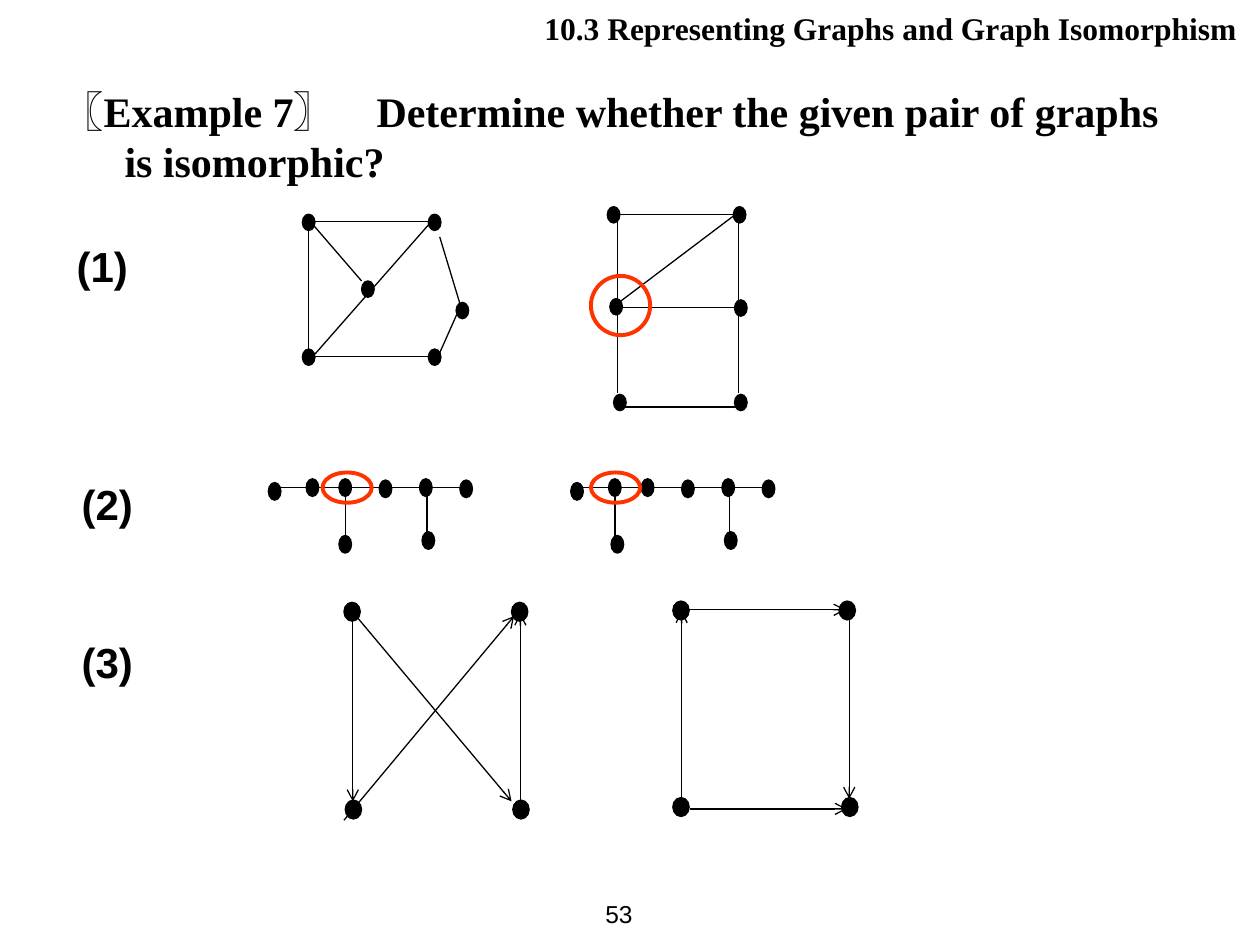
import pptx
import pptx.dml.color
import pptx.enum.shapes
import pptx.enum.text
import pptx.oxml
import pptx.oxml.ns
import pptx.util
from lxml import etree
from pptx.util import Inches

BLACK = pptx.dml.color.RGBColor(0, 0, 0)
RED = pptx.dml.color.RGBColor(0xFF, 0x33, 0x00)
SERIF, SANS = "Times New Roman", "Arial"
ALIGN = pptx.enum.text.PP_ALIGN
ANCHOR = pptx.enum.text.MSO_ANCHOR
SHAPE = pptx.enum.shapes.MSO_SHAPE


def sub(parent, tag, **attrs):
    return etree.SubElement(parent, pptx.oxml.ns.qn(tag), **attrs)


def write(tf, runs, font=SANS, size=24, bold=True, align=ALIGN.LEFT,
          anchor=ANCHOR.TOP, wrap=True, hanging=False, tab=None):
    """Fill a frame with runs of (text, overrides of font, size and bold)."""
    tf.word_wrap, tf.vertical_anchor = wrap, anchor
    tf.margin_left = tf.margin_right = Inches(0.1)
    tf.margin_top = tf.margin_bottom = Inches(0.05)
    p = tf.paragraphs[0]
    p.alignment = align
    pPr = p._p.get_or_add_pPr()
    if hanging:
        pPr.set("marL", str(Inches(0.5)))
        pPr.set("indent", str(Inches(-0.5)))
    if tab:
        sub(sub(pPr, "a:tabLst"), "a:tab", pos=str(Inches(tab)), algn="l")
    for text, own in runs:
        r = p.add_run()
        r.text = text
        r.font.name = own.get("font", font)
        r.font.size = pptx.util.Pt(own.get("size", size))
        r.font.bold = own.get("bold", bold)
        r.font.color.rgb = BLACK


def text_box(s, x, y, w, h, runs, **fmt):
    box = s.shapes.add_textbox(Inches(x), Inches(y), Inches(w), Inches(h))
    write(box.text_frame, runs, **fmt)


def oval(s, kind, x, y, w, h, color, weight, filled):
    sp = s.shapes.add_shape(kind, Inches(x), Inches(y), Inches(w), Inches(h))
    sp.shadow.inherit = False
    if filled:
        sp.fill.solid()
        sp.fill.fore_color.rgb = color
    else:
        sp.fill.background()
    sp.line.color.rgb = color
    sp.line.width = pptx.util.Pt(weight)


def ring(s, x, y, w, h):
    oval(s, SHAPE.OVAL, x, y, w, h, RED, 2.25, False)


def edge(s, x1, y1, x2, y2, arrow):
    cx = s.shapes.add_connector(pptx.enum.shapes.MSO_CONNECTOR.STRAIGHT,
                                Inches(x1), Inches(y1), Inches(x2), Inches(y2))
    cx.line.color.rgb = BLACK
    cx.line.width = pptx.util.Pt(0.75)
    if arrow:
        sub(cx.line._get_or_add_ln(), "a:tailEnd", type="arrow")
    sub(cx._element.spPr, "a:effectLst")


def graph(s, x, y, nodes, edges, node_size=(0.1, 0.13), arrow=False):
    """Draw edges, then nodes given by their top left corners, from (x, y)."""
    for x1, y1, x2, y2 in edges:
        edge(s, x + x1, y + y1, x + x2, y + y2, arrow)
    for nx, ny in nodes:
        oval(s, SHAPE.FLOWCHART_CONNECTOR, x + nx, y + ny, *node_size,
             BLACK, 0.75, True)


def header(s):
    title = s.shapes.title
    title.left, title.top = Inches(4.06), Inches(-0.06)
    title.width, title.height = Inches(5.94), Inches(0.5)
    write(title.text_frame,
          [("10.3 Representing Graphs and Graph Isomorphism", {"size": 18}),
           (" ", {"bold": False})], font=SERIF, align=ALIGN.RIGHT)


def question(s, x, y):
    text_box(s, x, y, 9.14, 0.9,
             [("〖", {}), ("Example 7", {"font": SERIF}), ("〗\t", {}),
              ("Determine whether the given pair of graphs is isomorphic?",
               {"font": SERIF})], hanging=True, tab=2)


def label(s, x, y, text):
    text_box(s, x, y, 9.14, 0.5, [(text, {})], hanging=True)


def undirected_pair(s, x, y):
    graph(s, x, y + 0.06,
          [(0, 0), (1, 0), (0, 1.07), (1, 1.07), (1.22, 0.7), (0.47, 0.53)],
          [(0.09, 0.06, 1.03, 0.06), (0.05, 0.03, 0.05, 1.1),
           (0.09, 0.09, 0.47, 0.53), (1.04, 0.04, 0.1, 1.11),
           (0.08, 1.13, 1.02, 1.13), (1.09, 0.18, 1.25, 0.71),
           (1.25, 0.74, 1.09, 1.1)])
    graph(s, x + 2.42, y,
          [(0, 0), (1, 0), (0.02, 0.73), (1.01, 0.74), (0.05, 1.49), (1.01, 1.49)],
          [(0.09, 0.06, 1.03, 0.06), (0.13, 1.59, 1.07, 1.59),
           (0.08, 0.06, 0.08, 1.48), (1.04, 0.06, 1.04, 1.48),
           (0.08, 0.8, 1.02, 0.8), (1.02, 0.06, 0.08, 0.77)])
    ring(s, x + 2.29, y + 0.55, 0.47, 0.47)


def tree(s, x, y, stem, leaf, ring_x):
    """Draw a six-node path with a fixed right branch and a left one at stem."""
    path = [(0, 0.03), (0.3, 0), (0.56, 0), (0.88, 0.01), (1.2, 0), (1.52, 0.01)]
    graph(s, x, y, path + [(1.22, 0.42), (leaf, 0.45)],
          [(0.08, 0.07, 1.52, 0.07)] +
          [(bx, 0.07, bx, 0.45) for bx in (stem, 1.26)], node_size=(0.1, 0.14))
    ring(s, x + ring_x, y - 0.05, 0.39, 0.24)


def tree_pair(s, x, y):
    tree(s, x, y, stem=0.61, leaf=0.56, ring_x=0.43)
    tree(s, x + 2.4, y, stem=0.35, leaf=0.32, ring_x=0.16)


def directed_pair(s, x, y):
    size = (0.13, 0.15)
    graph(s, x, y + 0.01, [(0, 0), (1.33, 0), (0.01, 1.57), (1.34, 1.57)],
          [(0.07, 0.09, 0.07, 1.58), (0.08, 0.09, 1.33, 1.58),
           (0, 1.73, 1.35, 0.11), (1.4, 1.58, 1.4, 0.09)], size, arrow=True)
    graph(s, x + 2.61, y, [(0, 0), (1.32, 0), (0, 1.56), (1.34, 1.56)],
          [(0.12, 0.07, 1.37, 0.07), (0.14, 1.65, 1.38, 1.65),
           (1.4, 0.08, 1.4, 1.57), (0.07, 1.57, 0.07, 0.08)], size, arrow=True)


def page_number(s):
    text_box(s, 4.45, 7, 0.67, 0.5, [("53", {})], size=14, bold=False,
             align=ALIGN.RIGHT, anchor=ANCHOR.MIDDLE, wrap=False)


def main():
    prs = pptx.Presentation()
    prs.slide_width, prs.slide_height = Inches(10), Inches(7.5)
    s = prs.slides.add_slide(prs.slide_layouts[5])
    header(s)
    question(s, 0.39, 0.63)
    label(s, 0.51, 1.86, "(1)")
    undirected_pair(s, 2.4, 1.64)
    label(s, 0.55, 3.75, "(2)")
    tree_pair(s, 2.13, 3.8)
    label(s, 0.55, 5, "(3)")
    directed_pair(s, 2.73, 4.77)
    page_number(s)
    prs.save("out.pptx")


if __name__ == "__main__":
    main()
